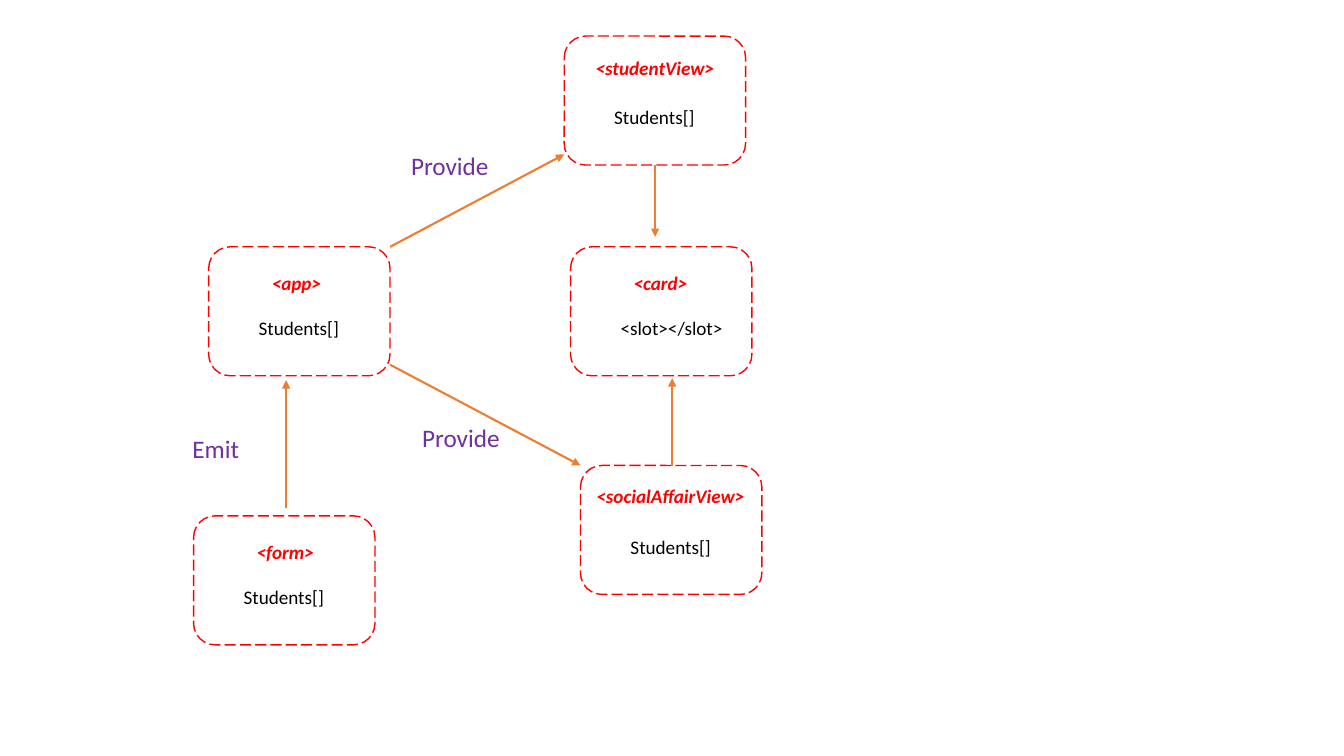
"""Draw a component data-flow slide with boxes, arrows and labels."""
from dataclasses import dataclass

from lxml import etree
from pptx import Presentation
from pptx import util as u
from pptx.dml.color import RGBColor
from pptx.enum import dml, shapes, text
from pptx.oxml import ns

RED = RGBColor(0xFF, 0x00, 0x00)
BLACK = RGBColor(0x00, 0x00, 0x00)
PURPLE = RGBColor(0x70, 0x30, 0xA0)
ORANGE = RGBColor(0xED, 0x7D, 0x31)
FONT = "Calibri"
BOX_W, BOX_H = 4.57, 3.25
BODY_X, BODY_Y = 1.01, 1.63


@dataclass(frozen=True)
class Box:
    title: str
    x: float
    y: float
    dx: float
    dy: float
    width: float
    body: str = "Students[]"
    body_w: float = 2.57


@dataclass(frozen=True)
class Arrow:
    x1: float
    y1: float
    x2: float
    y2: float


@dataclass(frozen=True)
class Label:
    words: str
    x: float
    y: float
    width: float


BOXES = [
    Box("<studentView>", 14.22, 0.91, 0.54, 0.39, 3.56),
    Box("<form>", 4.88, 13, 1.34, 0.49, 1.98),
    Box("<socialAffairView>", 14.63, 11.73, 0.15, 0.36, 4.32),
    Box("<app>", 5.26, 6.22, 1.34, 0.49, 1.78),
    Box("<card>", 14.38, 6.22, 1.34, 0.49, 1.88, "<slot></slot>", 3.12),
]
ARROWS = [
    Arrow(9.83, 6.22, 14.22, 3.89),
    Arrow(9.83, 9.19, 14.63, 11.73),
    Arrow(16.94, 11.73, 16.94, 9.53),
    Arrow(16.51, 4.17, 16.51, 5.97),
    Arrow(7.21, 12.8, 7.21, 9.58),
]
LABELS = [
    Label("Provide", 10.39, 10.52, 2.49),
    Label("Provide", 10.11, 3.66, 2.49),
    Label("Emit", 4.6, 10.8, 1.7),
]


def write(parent, words: str, x: float, y: float, width: float, *,
          height: float = 0.84, size: float = 13.7, color: RGBColor = BLACK,
          strong: bool = False) -> None:
    """Add one line of text in the given format."""
    frame = parent.add_textbox(u.Cm(x), u.Cm(y), u.Cm(width), u.Cm(height)).text_frame
    frame.word_wrap = False
    frame.auto_size = text.MSO_AUTO_SIZE.SHAPE_TO_FIT_TEXT
    run = frame.paragraphs[0].add_run()
    run.text = words
    font = run.font
    font.name, font.size = FONT, u.Pt(size)
    font.bold = font.italic = strong
    font.color.rgb = color


def draw_box(parent, box: Box) -> None:
    """Draw a dashed box with its title and body as a group."""
    group = parent.add_group_shape().shapes
    frame = group.add_shape(shapes.MSO_SHAPE.ROUNDED_RECTANGLE, u.Cm(box.x),
                            u.Cm(box.y), u.Cm(BOX_W), u.Cm(BOX_H))
    frame.shadow.inherit = False
    frame.fill.background()
    frame.line.color.rgb = RED
    frame.line.width = u.Pt(1)
    frame.line.dash_style = dml.MSO_LINE.LONG_DASH
    write(group, box.title, box.x + box.dx, box.y + box.dy, box.width,
          color=RED, strong=True)
    write(group, box.body, box.x + BODY_X, box.y + BODY_Y, box.body_w)


def draw_arrow(parent, arrow: Arrow) -> None:
    """Draw a straight line with a triangle at its end."""
    line = parent.add_connector(shapes.MSO_CONNECTOR.STRAIGHT, u.Cm(arrow.x1),
                                u.Cm(arrow.y1), u.Cm(arrow.x2), u.Cm(arrow.y2))
    line.line.color.rgb = ORANGE
    line.line.width = u.Pt(1.5)
    props = line._element.spPr
    stroke = props.find(ns.qn("a:ln"))
    etree.SubElement(stroke, ns.qn("a:tailEnd"), type="triangle")
    etree.SubElement(props, ns.qn("a:effectLst"))


def main() -> None:
    """Build the slide and save it."""
    deck = Presentation()
    deck.slide_width, deck.slide_height = u.Cm(33.87), u.Cm(19.05)
    canvas = deck.slides.add_slide(deck.slide_layouts[6]).shapes
    for box in BOXES:
        draw_box(canvas, box)
    for arrow in ARROWS:
        draw_arrow(canvas, arrow)
    for label in LABELS:
        write(canvas, label.words, label.x, label.y, label.width,
              height=1.02, size=18, color=PURPLE)
    deck.save("out.pptx")


if __name__ == "__main__":
    main()
